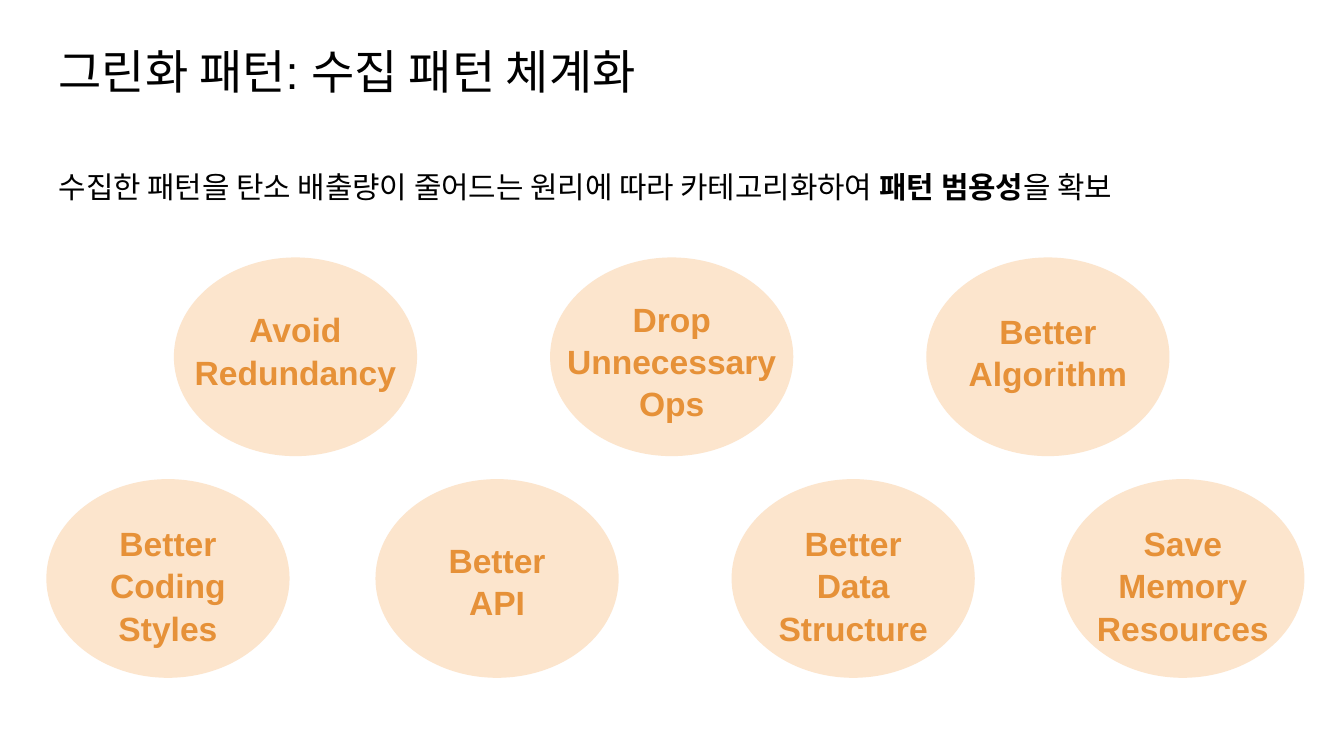
from pptx import Presentation
from pptx import util as u
from pptx.dml.color import RGBColor
from pptx.enum import shapes, text

COLORS = {"ink": "000000", "bubble": "FCE5CD", "label": "E69138"}
FONT = "Arial"


def write(frame, paragraphs, size, color, bold=False, align=text.PP_ALIGN.LEFT,
          spacing=1.0, after=0):
    """Fill a frame; each paragraph is a list of (text, is_bold) or a string."""
    for i, content in enumerate(paragraphs):
        paragraph = frame.paragraphs[0] if i == 0 else frame.add_paragraph()
        paragraph.alignment = align
        paragraph.line_spacing = spacing
        paragraph.space_after = u.Pt(after)
        runs = [(content, bold)] if isinstance(content, str) else content
        for words, is_bold in runs:
            run = paragraph.add_run()
            run.text = words
            run.font.name = FONT
            run.font.size = u.Pt(size)
            run.font.bold = is_bold
            run.font.color.rgb = RGBColor.from_string(COLORS[color])


class PatternSlide:
    bubble_width, bubble_height = 4.57, 3.73
    label_width = 5.11
    inset = 0.25

    def __init__(self, deck):
        self.slide = deck.slides.add_slide(deck.slide_layouts[6])

    def text_box(self, left, top, width, height, paragraphs, **style):
        box = self.slide.shapes.add_textbox(*map(u.Cm, (left, top, width, height)))
        frame = box.text_frame
        frame.word_wrap = True
        frame.vertical_anchor = text.MSO_ANCHOR.TOP
        frame.margin_left = frame.margin_right = u.Cm(self.inset)
        frame.margin_top = frame.margin_bottom = u.Cm(self.inset)
        write(frame, paragraphs, **style)

    def bubble(self, left, top):
        ellipse = self.slide.shapes.add_shape(
            shapes.MSO_SHAPE.OVAL,
            *map(u.Cm, (left, top, self.bubble_width, self.bubble_height)))
        ellipse.shadow.inherit = False
        fill_color = RGBColor.from_string(COLORS["bubble"])
        ellipse.fill.solid()
        ellipse.fill.fore_color.rgb = fill_color
        ellipse.line.color.rgb = fill_color
        ellipse.line.width = u.Pt(0.75)

    def category(self, left, top, label_top, label_height, lines):
        self.bubble(left, top)
        label_left = left - (self.label_width - self.bubble_width) / 2
        self.text_box(label_left, label_top, self.label_width, label_height, lines,
                      size=18, color="label", bold=True,
                      align=text.PP_ALIGN.CENTER, spacing=1.05)


def main():
    deck = Presentation()
    deck.slide_width, deck.slide_height = u.Cm(25.4), u.Cm(14.29)
    page = PatternSlide(deck)

    # Summary sentence
    summary = [("수집한 패턴을 탄소 배출량이 줄어드는 원리에 따라 카테고리화하여 ", False),
               ("패턴 범용성", True), ("을 확보", False)]
    page.text_box(0.86, 2.84, 23.67, 1.83, [summary],
                  size=16, color="ink", spacing=1.15, after=12)

    # Pattern categories: bubble left, label top, label height, label lines
    rows = {
        4.88: [(3.3, 5.56, 2.34, ["Avoid", "Redundancy"]),
               (10.41, 5.36, 2.74, ["Drop Unnecessary", "Ops"]),
               (17.52, 5.59, 2.34, ["Better", "Algorithm"])],
        9.07: [(0.89, 9.6, 2.34, ["Better", "Coding", "Styles"]),
               (7.11, 9.91, 2.06, ["Better", "API"]),
               (13.84, 9.6, 2.34, ["Better", "Data", "Structure"]),
               (20.07, 9.6, 2.34, ["Save", "Memory", "Resources"])],
    }
    for top, categories in rows.items():
        for left, label_top, label_height, lines in categories:
            page.category(left, top, label_top, label_height, lines)

    # Title
    page.text_box(0.86, 0.56, 23.67, 1.6, ["그린화 패턴: 수집 패턴 체계화"],
                  size=25.2, color="ink")

    deck.save("out.pptx")


if __name__ == "__main__":
    main()
